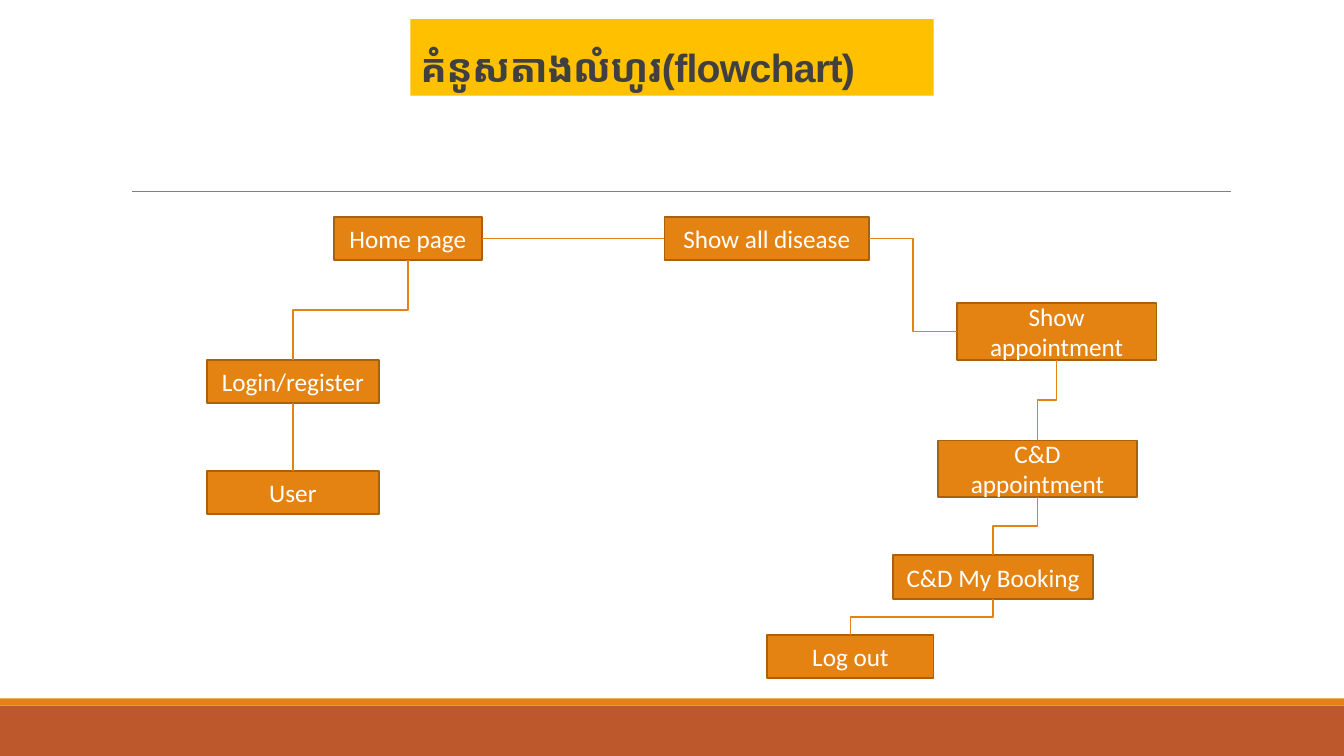
from pptx import Presentation
from pptx import util as u
from pptx.dml.color import RGBColor
from pptx.enum import shapes, text
from pptx.oxml.ns import qn
from lxml import etree

ORANGE = "E48312"
TOP, LEFT, BOTTOM, RIGHT = range(4)


def paint(color_format, value):
    color_format.rgb = RGBColor.from_string(value)


def add_line(kind, start, end, color, width):
    line = page.shapes.add_connector(kind, *start, *end)
    paint(line.line.color, color)
    line.line.width = u.Pt(width)
    etree.SubElement(line._element.spPr, qn("a:effectLst"))
    return line


deck = Presentation()
deck.slide_width = u.Inches(13.33)
deck.slide_height = u.Inches(7.5)
page = deck.slides.add_slide(deck.slide_layouts[5])

for top, height, color in [(7, 0.5, "BD582C"), (6.93, 0.07, ORANGE)]:
    band = page.shapes.add_shape(shapes.MSO_SHAPE.RECTANGLE, 0, u.Inches(top),
                                 deck.slide_width, u.Inches(height))
    band.shadow.inherit = False
    band.fill.solid()
    paint(band.fill.fore_color, color)
    band.line.fill.background()

add_line(shapes.MSO_CONNECTOR.STRAIGHT, (u.Inches(1.31), u.Inches(1.9)),
         (u.Inches(12.21), u.Inches(1.9)), "808080", 0.5)

title = page.shapes.title
title.left, title.top = u.Inches(4.07), u.Inches(0.19)
title.width, title.height = u.Inches(5.19), u.Inches(0.76)
title.fill.solid()
paint(title.fill.fore_color, "FFC000")
title.text_frame.auto_size = text.MSO_AUTO_SIZE.NONE
title.text_frame.vertical_anchor = text.MSO_ANCHOR.BOTTOM
para = title.text_frame.paragraphs[0]
para.alignment = text.PP_ALIGN.LEFT
para.line_spacing = 0.85
span = para.add_run()
span.text = "គំនូសតាងលំហូរ(flowchart)"
span.font.name = "Arial"
span.font.size = u.Pt(28)
span.font.bold = True
paint(span.font.color, "404040")
span.font._element.set("spc", "-50")

LOW, TALL = 0.43, 0.56
steps = [
    ("Home page", 3.31, 2.15, 1.47, LOW),
    ("Show all disease", 6.59, 2.15, 2.03, LOW),
    ("Show appointment", 9.49, 3.01, 1.98, TALL),
    ("User", 2.05, 4.67, 1.71, LOW),
    ("Login/register", 2.05, 3.57, 1.71, LOW),
    ("Log out", 7.61, 6.3, 1.65, LOW),
    ("C&D appointment", 9.3, 4.37, 1.98, TALL),
    ("C&D My Booking", 8.86, 5.51, 1.98, LOW),
]
boxes = {}
for label, *place in steps:
    box = page.shapes.add_shape(shapes.MSO_SHAPE.RECTANGLE, *map(u.Inches, place))
    box.shadow.inherit = False
    box.fill.solid()
    paint(box.fill.fore_color, ORANGE)
    paint(box.line.color, "A9610D")
    box.line.width = u.Pt(1.25)
    box.text_frame.text = label
    box.text_frame.vertical_anchor = text.MSO_ANCHOR.MIDDLE
    para = box.text_frame.paragraphs[0]
    para.alignment = text.PP_ALIGN.CENTER
    para.font.name = "Calibri"
    para.font.size = u.Pt(18)
    paint(para.font.color, "FFFFFF")
    boxes[label] = box

flows = [
    ("Home page", RIGHT, "Show all disease", LEFT),
    ("Home page", BOTTOM, "Login/register", TOP),
    ("Login/register", BOTTOM, "User", TOP),
    ("Show all disease", RIGHT, "Show appointment", LEFT),
    ("Show appointment", BOTTOM, "C&D appointment", TOP),
    ("C&D appointment", BOTTOM, "C&D My Booking", TOP),
    ("C&D My Booking", BOTTOM, "Log out", TOP),
]
for source, exit_side, target, entry_side in flows:
    ends = []
    for box, side in [(boxes[source], exit_side), (boxes[target], entry_side)]:
        across = {LEFT: 0, RIGHT: 1}.get(side, 0.5)
        down = {TOP: 0, BOTTOM: 1}.get(side, 0.5)
        ends.append((int(box.left + box.width * across), int(box.top + box.height * down)))
    (x1, y1), (x2, y2) = ends
    straight = x1 == x2 or y1 == y2
    kind = shapes.MSO_CONNECTOR.STRAIGHT if straight else shapes.MSO_CONNECTOR.ELBOW
    link = add_line(kind, *ends, ORANGE, 1)
    link.begin_connect(boxes[source], exit_side)
    link.end_connect(boxes[target], entry_side)
    if exit_side == BOTTOM and not straight:
        run, drop = x1 - x2, y2 - y1
        frame = link._element.spPr.find(qn("a:xfrm"))
        frame.attrib.clear()
        frame.set("rot", "5400000")
        link.left, link.top = (x1 + x2 - drop) // 2, (y1 + y2 - run) // 2
        link.width, link.height = drop, run

deck.save("out.pptx")
